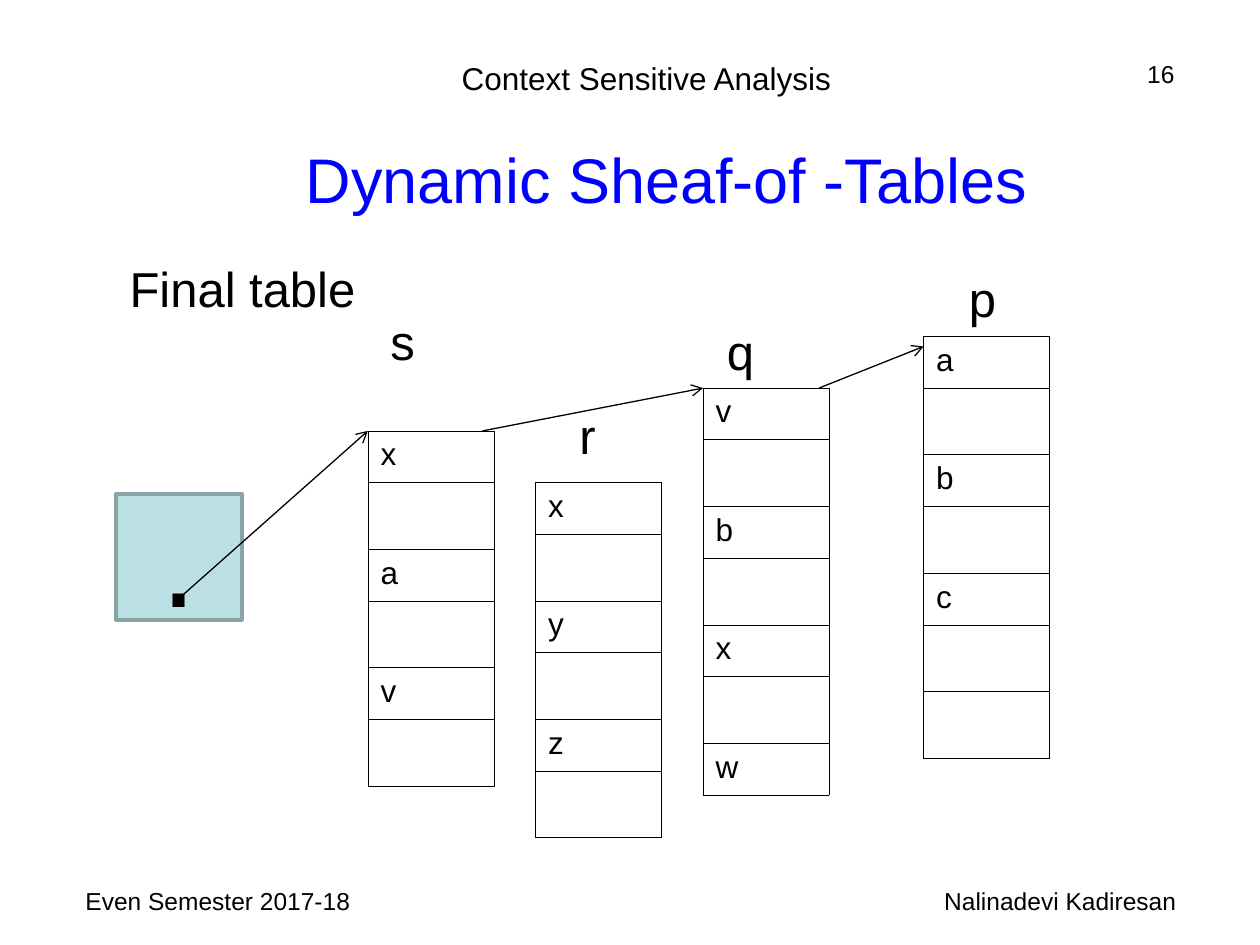
from dataclasses import dataclass
from lxml import etree
from pptx import Presentation
from pptx import util as u
from pptx.dml.color import RGBColor
from pptx.enum import shapes, text
from pptx.oxml import ns

LEFT, MID, RIGHT = text.PP_ALIGN.LEFT, text.PP_ALIGN.CENTER, text.PP_ALIGN.RIGHT


@dataclass
class Theme:
    face: str = "Arial"
    ink: str = "000000"
    blue: str = "0000FF"
    fill: str = "BBE0E3"
    edge: str = "89A4A7"
    small: int = 14
    cell: int = 18
    label: int = 28
    title: int = 36
    dot: int = 72
    rule: float = 0.45
    arrow: float = 0.75
    frame: float = 2


def inches(*sizes):
    return [u.Inches(size) for size in sizes]


def apply(item, style):
    for key, value in style.items():
        setattr(item, key, value)


def node(parent, tag, **attrs):
    return etree.SubElement(parent, ns.qn(tag), attrs)


class Deck:
    def __init__(self, theme):
        self.theme = theme
        self.prs = Presentation()
        apply(self.prs, {"slide_width": u.Inches(10), "slide_height": u.Inches(7.5)})
        self.slide = self.prs.slides.add_slide(self.prs.slide_layouts[5])
        self.shapes = self.slide.shapes

    def label(self, frame, words, size, align=LEFT, color=None):
        para = frame.paragraphs[0]
        para.alignment = align
        run = para.add_run()
        run.text = words
        apply(run.font, {"name": self.theme.face, "size": u.Pt(size)})
        run.font.color.rgb = RGBColor.from_string(color or self.theme.ink)

    def title(self, words, box):
        item = self.shapes.title
        apply(item, dict(zip(("left", "top", "width", "height"), inches(*box))))
        apply(item.text_frame, {"vertical_anchor": text.MSO_ANCHOR.MIDDLE,
                                "auto_size": text.MSO_AUTO_SIZE.NONE})
        self.label(item.text_frame, words, self.theme.title, MID, self.theme.blue)

    def text(self, words, box, size, align=LEFT, wrap=True):
        frame = self.shapes.add_textbox(*inches(*box)).text_frame
        frame.word_wrap = wrap
        self.label(frame, words, size, align)

    def square(self, words, box):
        item = self.shapes.add_shape(shapes.MSO_SHAPE.RECTANGLE, *inches(*box))
        item.shadow.inherit = False
        item.fill.solid()
        item.fill.fore_color.rgb = RGBColor.from_string(self.theme.fill)
        item.line.color.rgb = RGBColor.from_string(self.theme.edge)
        item.line.width = u.Pt(self.theme.frame)
        item.text_frame.vertical_anchor = text.MSO_ANCHOR.MIDDLE
        self.label(item.text_frame, words, self.theme.dot, MID)

    def border(self, cell):
        props = cell._tc.get_or_add_tcPr()
        for side in ("a:lnL", "a:lnR", "a:lnT", "a:lnB"):
            line = node(props, side, w=str(u.Pt(self.theme.rule)))
            node(node(line, "a:solidFill"), "a:srgbClr", val=self.theme.ink)
        cell.fill.background()

    def table(self, names, left, top):
        tall = [0.41 if name else 0.53 for name in names]
        box = inches(left, top, 1, sum(tall))
        grid = self.shapes.add_table(len(names), 1, *box).table
        apply(grid, {"first_row": False, "horz_banding": False})
        for row, name, high in zip(grid.rows, names, tall):
            row.height = u.Inches(high)
            cell = row.cells[0]
            self.border(cell)
            if name:
                self.label(cell.text_frame, name, self.theme.cell)

    def arrow(self, start, end):
        link = self.shapes.add_connector(shapes.MSO_CONNECTOR.STRAIGHT,
                                         *inches(*start, *end))
        link.line.color.rgb = RGBColor.from_string(self.theme.ink)
        link.line.width = u.Pt(self.theme.arrow)
        node(link.line._get_or_add_ln(), "a:tailEnd", type="arrow")
        node(link._element.spPr, "a:effectLst")


def main():
    theme = Theme()
    deck = Deck(theme)
    deck.text("Context Sensitive Analysis", (1.42, 0.42, 7.42, 0.4), theme.cell, MID)
    deck.title("Dynamic Sheaf-of -Tables", (0.58, 1.08, 9.42, 0.67))
    deck.text("16", (7.67, 0.42, 1.75, 0.52), theme.small, RIGHT)
    deck.text("Even Semester 2017-18", (0.58, 6.98, 2.33, 0.52), theme.small)
    deck.text("Nalinadevi Kadiresan", (6.83, 6.98, 3.17, 0.52), theme.small, MID)

    scopes = [
        (["a", "", "b", "", "c", "", ""], 7.33, 2.67),
        (["v", "", "b", "", "x", "", "w"], 5.58, 3.08),
        (["x", "", "y", "", "z", ""], 4.25, 3.83),
        (["x", "", "a", "", "v", ""], 2.92, 3.42),
    ]
    for names, left, top in scopes:
        deck.table(names, left, top)

    labels = [
        ("s", 3, 2.42, 0.39),
        ("r", 4.5, 3.17, 0.33),
        ("q", 5.67, 2.5, 0.41),
        ("p", 7.59, 2.08, 0.41),
        ("Final table", 0.93, 2, 1.99),
    ]
    for name, left, top, wide in labels:
        deck.text(name, (left, top, wide, 0.57), theme.label, wrap=False)

    deck.square(".", (0.92, 3.92, 1, 1))
    for start, end in [
        ((1.42, 4.75), (2.92, 3.42)),
        ((3.83, 3.42), (5.58, 3.08)),
        ((6.5, 3.08), (7.33, 2.75)),
    ]:
        deck.arrow(start, end)
    deck.prs.save("out.pptx")


if __name__ == "__main__":
    main()
